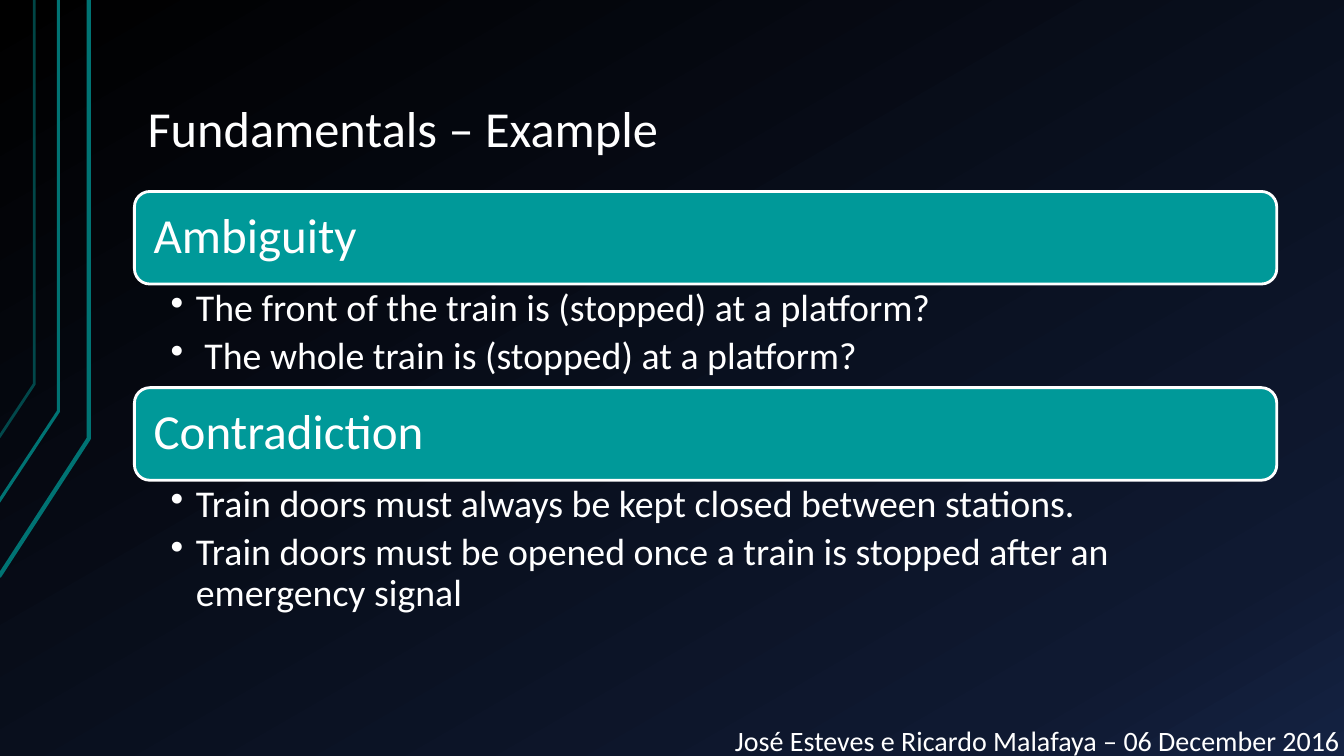
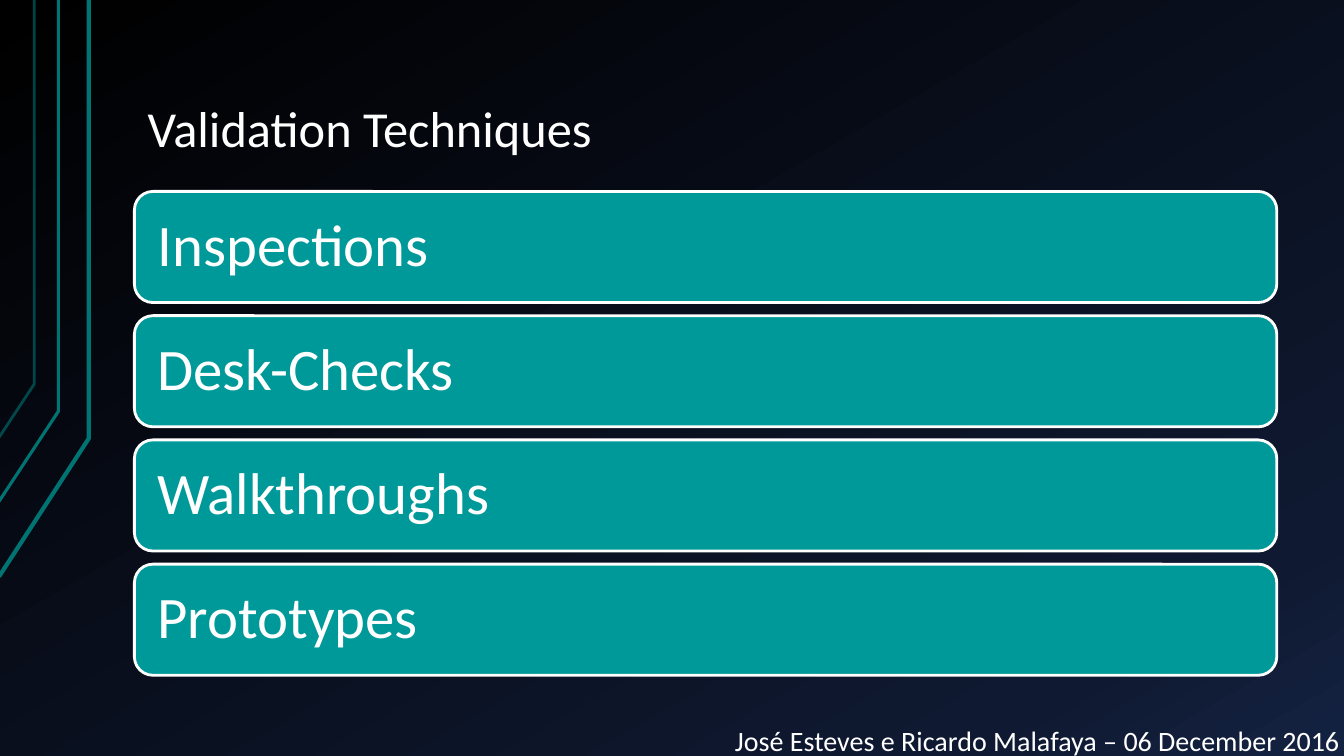
from lxml.etree import SubElement
from pptx import Presentation
from pptx.dml.color import RGBColor
from pptx.enum.shapes import MSO_SHAPE as Shape
from pptx.enum.text import MSO_ANCHOR as Anchor, PP_ALIGN as Align
from pptx.oxml.ns import qn
from pptx.util import Inches, Pt

FONT = "Calibri"
WHITE, TEAL, DEEP = "FFFFFF", "009999", "007373"
GRAD = [(0, "000000"), (85, "0F1931"), (100, "142242")]
FOOT = "José Esteves e Ricardo Malafaya – 06 December 2016"

# Corner lines: points in hundredths of an inch, width, opacity in percent
LINES = [
    ([(-1, 572), (88, 435), (88, 0)], 3, 100),
    ([(-2, 499), (58, 408), (58, 0)], 2.25, 100),
    ([(-1, 434), (34, 381), (34, 0)], 2, 60),
]

# Body area, in percent of the slide
LEFT, WIDE = 10, 85
TOP, END = 25.33, 89.33


def rgb(code):
    return RGBColor.from_string(code)


def bar_high(size):
    """Height of a bar, in percent, from its text size."""
    return 0.35 * size


class Deck:
    def __init__(self):
        self.prs = Presentation()
        self.prs.slide_width, self.prs.slide_height = Inches(13.33), Inches(7.5)
        self.slide = None
        self.paint()

    def paint(self):
        """Put the shared gradient on the master."""
        master = self.prs.slide_master
        fill = master.background.fill
        fill.gradient()
        fill.gradient_angle = 300
        stops = master.element.find(".//" + qn("a:gsLst"))
        stops.clear()
        for pos, code in GRAD:
            stop = SubElement(stops, qn("a:gs"), pos=str(pos * 1000))
            SubElement(stop, qn("a:srgbClr"), val=code)

    def box(self, x, y, w, h):
        """Turn percent of the slide into lengths."""
        wide, high = self.prs.slide_width, self.prs.slide_height
        return [int(n * full / 100)
                for n, full in ((x, wide), (y, high), (w, wide), (h, high))]

    def label(self, shape, lines, size, pads, anchor, align=Align.LEFT, after=0):
        """Set the text of a shape and return its paragraphs."""
        frame = shape.text_frame
        frame.word_wrap = True
        frame.vertical_anchor = anchor
        (frame.margin_left, frame.margin_top,
         frame.margin_right, frame.margin_bottom) = map(Inches, pads)
        for i, line in enumerate(lines):
            par = frame.add_paragraph() if i else frame.paragraphs[0]
            par.text = line
            par.alignment = align
            par.line_spacing = 0.9
            par.space_after = Pt(after)
            font = par.font
            font.name, font.size = FONT, Pt(size)
            font.color.rgb = rgb(WHITE)
        return frame.paragraphs

    def text(self, area, lines, size, pads, anchor, **more):
        shape = self.slide.shapes.add_textbox(*self.box(*area))
        return self.label(shape, lines, size, pads, anchor, **more)

    def line(self, dots, width, solid):
        pen = self.slide.shapes.build_freeform(*dots[0], scale=Inches(0.01))
        pen.add_line_segments(dots[1:], close=False)
        shape = pen.convert_to_shape()
        shape.shadow.inherit = False
        shape.fill.background()
        shape.line.width = Pt(width)
        shape.line.color.rgb = rgb(DEEP)
        if solid < 100:
            tint = shape.element.find(".//" + qn("a:ln")).find(
                ".//" + qn("a:srgbClr"))
            SubElement(tint, qn("a:alpha"), val=str(solid * 1000))

    def page(self, title):
        """Start a slide with its lines, title and footer."""
        self.slide = self.prs.slides.add_slide(self.prs.slide_layouts[6])
        for dots, width, solid in LINES:
            self.line(dots, width, solid)
        pads = (0.13, 0.07, 0.13, 0.07)
        self.text((LEFT, 4, WIDE, 17.87), [title], 36, pads, Anchor.BOTTOM)
        self.text((53.56, 96.13, 47.26, 5.07), [FOOT], 20, pads,
                  Anchor.BOTTOM, align=Align.CENTER)

    def bar(self, y, name, size):
        area = self.box(LEFT, y, WIDE, bar_high(size))
        shape = self.slide.shapes.add_shape(Shape.ROUNDED_RECTANGLE, *area)
        shape.shadow.inherit = False
        shape.fill.solid()
        shape.fill.fore_color.rgb = rgb(TEAL)
        shape.line.color.rgb = rgb(WHITE)
        shape.line.width = Pt(2)
        pad = 0.3 * size / 72
        self.label(shape, [name], size, [pad] * 4, Anchor.MIDDLE)

    def points(self, y, high, items):
        pars = self.text((LEFT, y, WIDE, high), items, 27,
                         (0.36, 0.05, 0.27, 0.05), Anchor.TOP, after=5)
        for par in pars:
            props = par._p.get_or_add_pPr()
            props.set("marL", str(Inches(0.25)))
            props.set("indent", str(-Inches(0.25)))
            mark = props.makeelement(qn("a:buChar"), {"char": "•"})
            props.find(qn("a:defRPr")).addprevious(mark)

    def groups(self, parts, size):
        """Stack bars, each followed by its points."""
        y = TOP
        for name, high, items in parts:
            self.bar(y, name, size)
            y += bar_high(size)
            self.points(y, high, items)
            y += high

    def stack(self, names, size):
        """Spread bars evenly over the body area."""
        step = (END - TOP - bar_high(size)) / (len(names) - 1)
        for i, name in enumerate(names):
            self.bar(TOP + i * step, name, size)


def main():
    deck = Deck()

    # Example
    deck.page("Fundamentals – Example")
    deck.groups([
        ("Ambiguity", 13.7, [
            "The front of the train is (stopped) at a platform?",
            " The whole train is (stopped) at a platform?"]),
        ("Contradiction", 25.8, [
            "Train doors must always be kept closed between stations.",
            "Train doors must be opened once a train is stopped after an "
            "emergency signal"]),
    ], 35)

    # Techniques
    deck.page("Validation Techniques")
    deck.stack(["Inspections", "Desk-Checks", "Walkthroughs", "Prototypes"], 42)

    deck.prs.save("out.pptx")


if __name__ == "__main__":
    main()
